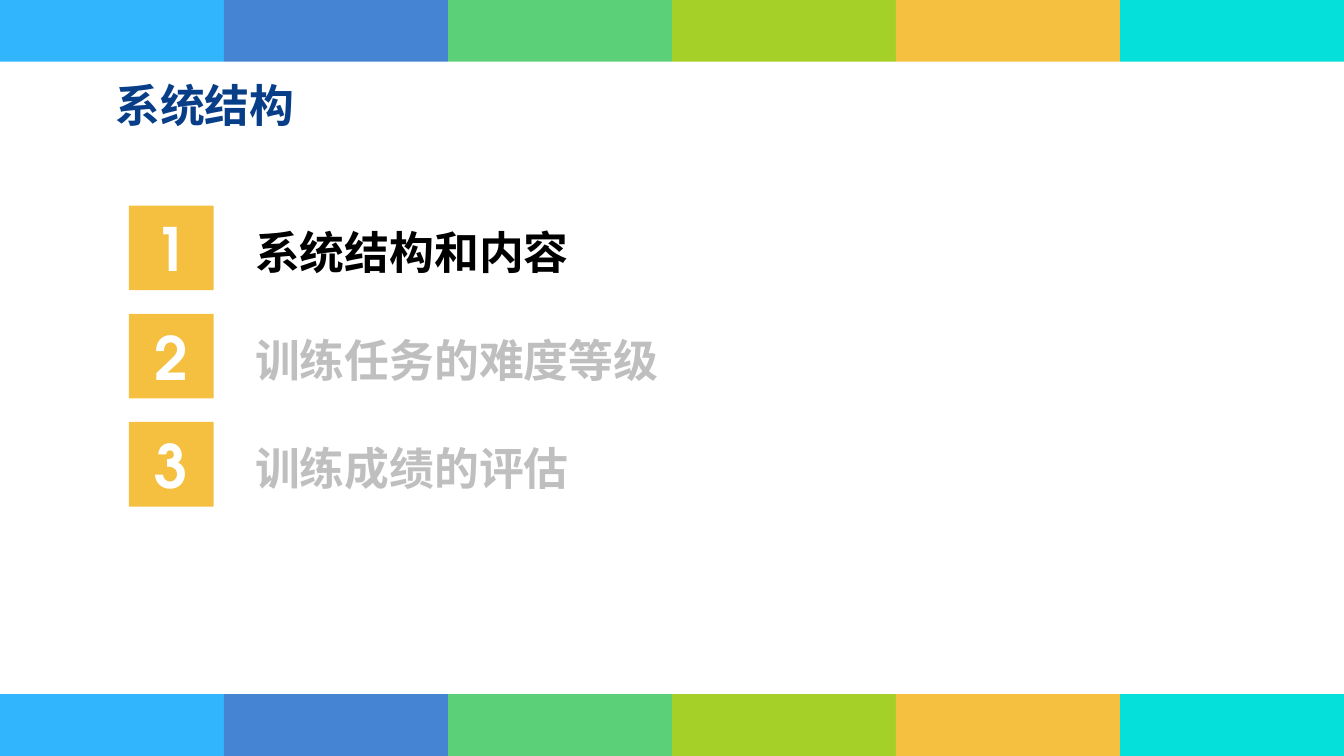
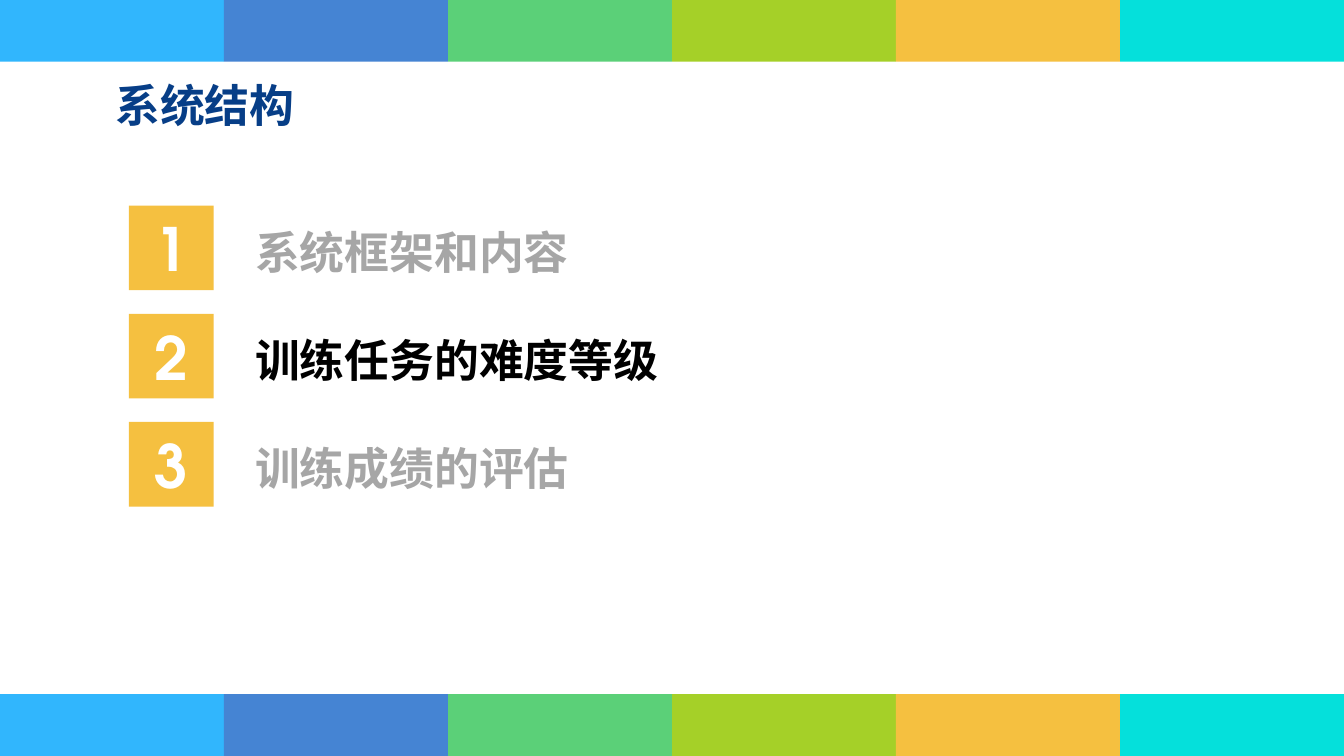
from lxml import etree
from pptx import Presentation
from pptx.dml.color import RGBColor
from pptx.enum.shapes import MSO_SHAPE
from pptx.enum.text import MSO_ANCHOR, MSO_AUTO_SIZE, PP_ALIGN
from pptx.oxml.ns import qn
from pptx.util import Inches, Pt

RECTANGLE = MSO_SHAPE.RECTANGLE
MIDDLE = MSO_ANCHOR.MIDDLE
CENTER = PP_ALIGN.CENTER
FIT_SHAPE = MSO_AUTO_SIZE.SHAPE_TO_FIT_TEXT

COLORS = {
    "sky": "31B6FD",
    "blue": "4584D3",
    "green": "5BD078",
    "lime": "A5D028",
    "amber": "F5C040",
    "cyan": "05E0DB",
    "title": "073E87",
    "active": "000000",
    "light_gray": "BFBFBF",
    "mid_gray": "A6A6A6",
    "white": "FFFFFF",
}
BAND_COLORS = ["sky", "blue", "green", "lime", "amber", "cyan"]
CHINESE_FONT = "Noto Sans CJK SC"
LATIN_FONT = "TeX Gyre Adventor"

PAGE_WIDTH = 10
PAGE_HEIGHT = PAGE_WIDTH * 9 / 16
BAND_HEIGHT = 0.46
TITLE = "系统结构"
TEXT_HEIGHT = 0.5
BADGE_SIZE = 0.63
FIRST_ROW, LAST_ROW = 1.53, 3.14
LABEL_OFFSET = (0.84, 0.09)
LABEL_STYLES = [(4.34, LATIN_FONT), (3.67, LATIN_FONT), (3.06, CHINESE_FONT)]
ROW_STEP = (LAST_ROW - FIRST_ROW) / (len(LABEL_STYLES) - 1)

AGENDAS = [
    {
        "title_width": 3.96,
        "labels": ["系统结构和内容", "训练任务的难度等级", "训练成绩的评估"],
        "active": 0,
        "muted": "light_gray",
    },
    {
        "title_width": 1.69,
        "labels": ["系统框架和内容", "训练任务的难度等级", "训练成绩的评估"],
        "active": 1,
        "muted": "mid_gray",
    },
]


def write_text(frame, text, size, font_name, color):
    para = frame.paragraphs[0]
    para.text = text
    font = para.font
    font.size = Pt(size)
    font.bold = True
    font.color.rgb = RGBColor.from_string(COLORS[color])
    font.name = font_name
    defaults = para._p.pPr.find(qn("a:defRPr"))
    etree.SubElement(defaults, qn("a:ea")).set("typeface", CHINESE_FONT)
    return para


def add_block(shapes, left, top, width, height, color):
    block = shapes.add_shape(
        RECTANGLE, Inches(left), Inches(top), Inches(width), Inches(height)
    )
    block.shadow.inherit = False
    block.fill.solid()
    block.fill.fore_color.rgb = RGBColor.from_string(COLORS[color])
    block.line.fill.background()
    return block


def add_label(page, left, top, width, text, font_name, color):
    box = page.shapes.add_textbox(
        Inches(left), Inches(top), Inches(width), Inches(TEXT_HEIGHT)
    )
    frame = box.text_frame
    frame.word_wrap = True
    frame.auto_size = FIT_SHAPE
    write_text(frame, text, 24, font_name, color)


def add_band(page, left, top, width, height):
    group = page.shapes.add_group_shape()
    block_width = width / len(BAND_COLORS)
    for index, color in enumerate(BAND_COLORS):
        add_block(
            group.shapes, left + index * block_width, top, block_width, height, color
        )


def add_frame(page, title_width):
    for top in (0, PAGE_HEIGHT - BAND_HEIGHT):
        add_band(page, 0, top, PAGE_WIDTH, BAND_HEIGHT)
    add_label(page, 0.76, 0.53, title_width, TITLE, CHINESE_FONT, "title")


def add_badge(page, left, top, number):
    badge = add_block(page.shapes, left, top, BADGE_SIZE, BADGE_SIZE, "amber")
    frame = badge.text_frame
    frame.vertical_anchor = MIDDLE
    para = write_text(frame, str(number), 32, LATIN_FONT, "white")
    para.alignment = CENTER


def add_agenda(page, left, top, labels, active, muted):
    for index, (label, (width, font_name)) in enumerate(zip(labels, LABEL_STYLES)):
        row_top = top + index * ROW_STEP
        color = "active" if index == active else muted
        add_badge(page, left, row_top, index + 1)
        add_label(
            page,
            left + LABEL_OFFSET[0],
            row_top + LABEL_OFFSET[1],
            width,
            label,
            font_name,
            color,
        )


def build_agenda_page(deck, agenda):
    page = deck.slides.add_slide(deck.slide_layouts[6])
    add_frame(page, agenda["title_width"])
    add_agenda(
        page, 0.96, FIRST_ROW, agenda["labels"], agenda["active"], agenda["muted"]
    )


def main():
    deck = Presentation()
    deck.slide_width = Inches(PAGE_WIDTH)
    deck.slide_height = Inches(PAGE_HEIGHT)
    for agenda in AGENDAS:
        build_agenda_page(deck, agenda)
    deck.save("out.pptx")


if __name__ == "__main__":
    main()
